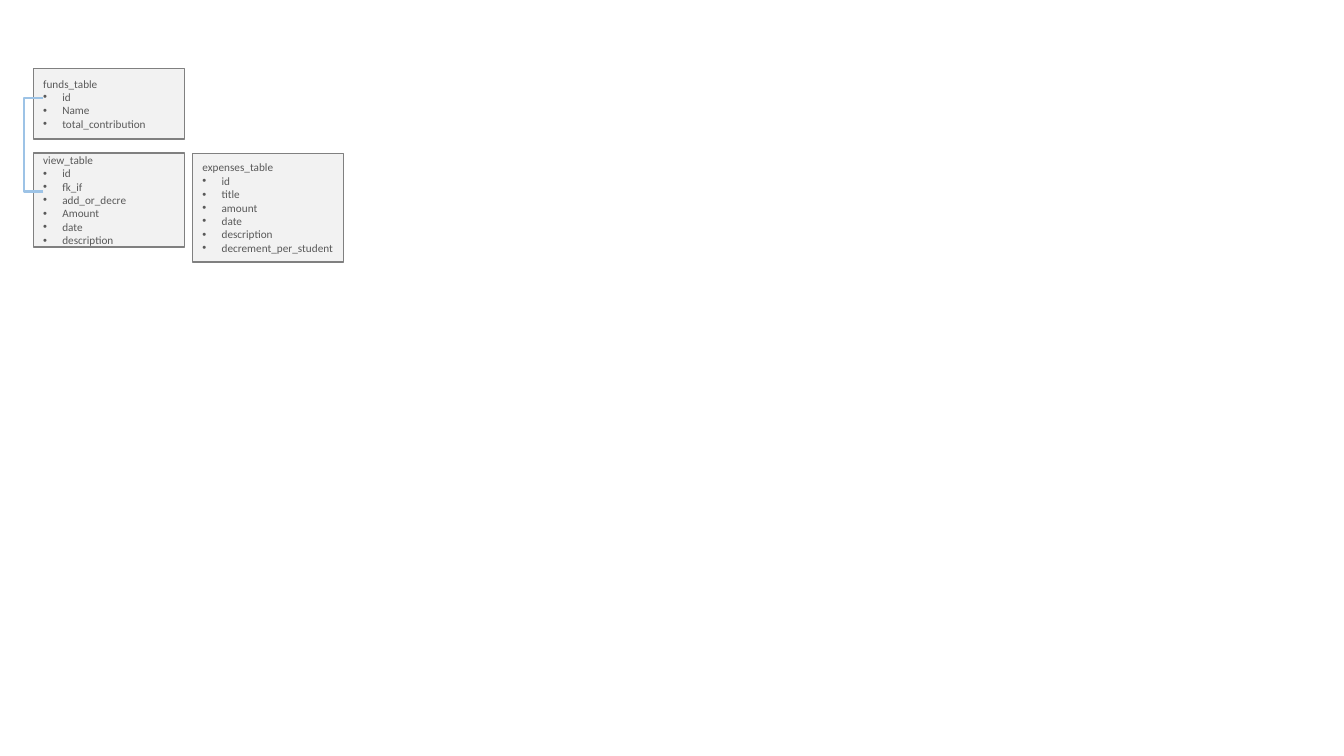
"""Build a slide with a small database schema of funds, views and expenses."""
from lxml import etree
from pptx import Presentation
from pptx.dml.color import RGBColor
from pptx.enum.shapes import MSO_SHAPE
from pptx.enum.text import MSO_ANCHOR, PP_ALIGN
from pptx.oxml.ns import qn
from pptx.util import Inches, Pt

RECTANGLE = MSO_SHAPE.RECTANGLE
LEFT_BRACKET = MSO_SHAPE.LEFT_BRACKET
MIDDLE = MSO_ANCHOR.MIDDLE
LEFT = PP_ALIGN.LEFT
BLANK_LAYOUT = 6
INDENT = Inches(0.19)


def color(hex_value):
    return RGBColor.from_string(hex_value)


def write_line(paragraph, text, size=8, font="Calibri", ink="595959", bullet=False):
    paragraph.alignment = LEFT
    run = paragraph.add_run()
    run.text = text
    run.font.size = Pt(size)
    run.font.name = font
    run.font.color.rgb = color(ink)
    if bullet:
        properties = paragraph._p.get_or_add_pPr()
        properties.set("marL", str(INDENT))
        properties.set("indent", str(-INDENT))
        etree.SubElement(properties, qn("a:buFont")).set("typeface", "Arial")
        etree.SubElement(properties, qn("a:buChar")).set("char", "•")


prs = Presentation()
prs.slide_width = Inches(13.33)
prs.slide_height = Inches(7.5)
slide = prs.slides.add_slide(prs.slide_layouts[BLANK_LAYOUT])

tables = [
    ("funds_table", 0.33, 0.68, 0.7, ["id", "Name", "total_contribution"]),
    ("view_table", 0.33, 1.52, 0.93,
     ["id", "fk_if", "add_or_decre", "Amount", "date", "description"]),
    ("expenses_table", 1.91, 1.52, 1.08,
     ["id", "title", "amount", "date", "description", "decrement_per_student"]),
]
for table_name, left, top, height, columns in tables:
    entity = slide.shapes.add_shape(
        RECTANGLE, Inches(left), Inches(top), Inches(1.5), Inches(height))
    entity.shadow.inherit = False
    entity.fill.solid()
    entity.fill.fore_color.rgb = color("F2F2F2")
    entity.line.color.rgb = color("808080")
    entity.line.width = Pt(1)
    frame = entity.text_frame
    frame.word_wrap = True
    frame.vertical_anchor = MIDDLE
    write_line(frame.paragraphs[0], table_name)
    for column in columns:
        write_line(frame.add_paragraph(), column, bullet=True)

foreign_key = slide.shapes.add_shape(
    LEFT_BRACKET, Inches(0.24), Inches(0.97), Inches(0.19), Inches(0.93))
foreign_key.adjustments[0] = 0
foreign_key.shadow.inherit = False
foreign_key.fill.background()
foreign_key.line.color.rgb = color("9DC3E6")
foreign_key.line.width = Pt(1.5)

prs.save("out.pptx")
